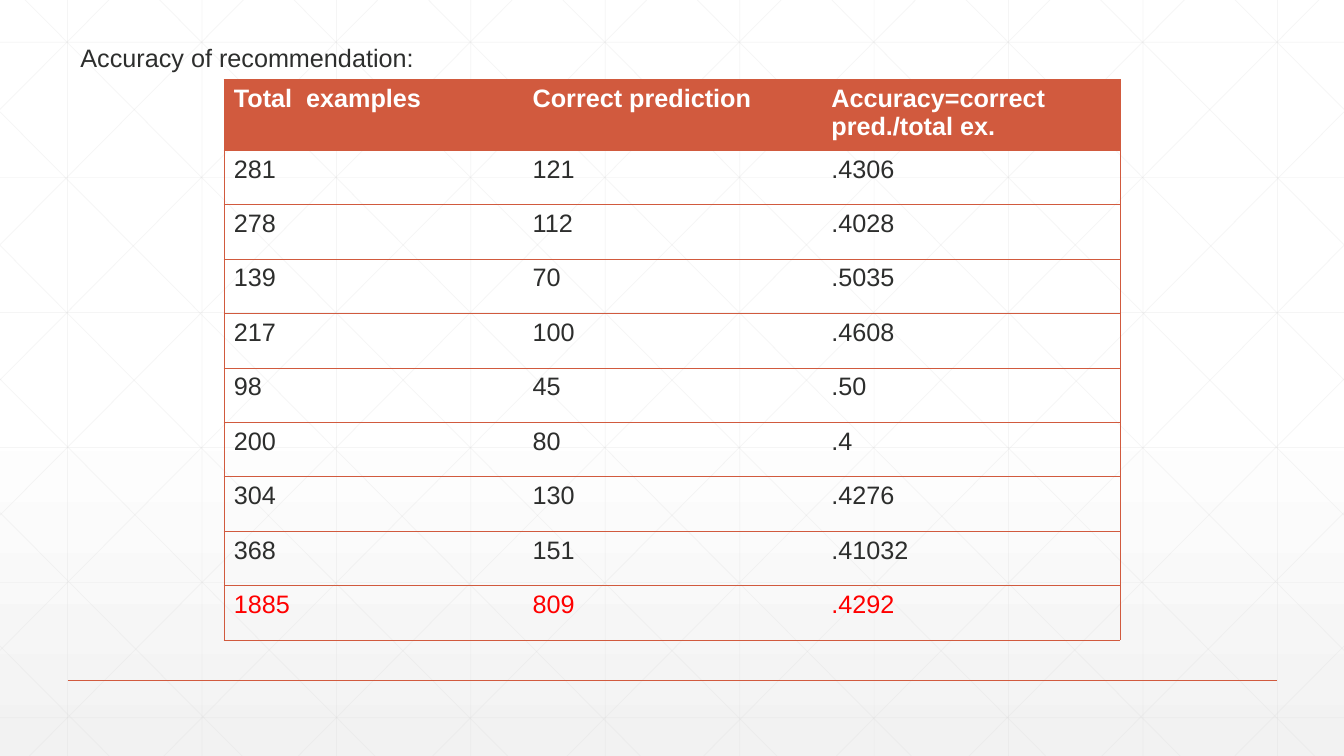
from copy import deepcopy
from lxml import etree
from pptx import Presentation
from pptx.dml.color import RGBColor
from pptx.enum import shapes
from pptx.oxml.ns import qn
from pptx.util import Inches, Pt

# Content
TITLE = "Accuracy of recommendation:"
ROWS = [
    ("Total  examples", "Correct prediction", "Accuracy=correct pred./total ex."),
    ("281", "121", ".4306"),
    ("278", "112", ".4028"),
    ("139", "70", ".5035"),
    ("217", "100", ".4608"),
    ("98", "45", ".50"),
    ("200", "80", ".4"),
    ("304", "130", ".4276"),
    ("368", "151", ".41032"),
    ("1885", "809", ".4292"),
]
HEX = {"rust": "D15A3E", "ink": "2D2E2D", "white": "FFFFFF",
       "red": "FF0000", "mesh": "D9D9D9", "fog": "F2F2F2"}
WIDE, HIGH = 13.33, 7.5
STEP = 4 / 3      # spacing of the mesh
SLOPE = 0.994     # run over rise of its diagonals
PLAIN = "{2D5ABB26-0587-4C30-8999-92F81FD0307C}"  # table style without grid


def rgb(name):
    return RGBColor.from_string(HEX[name])


def style(run, **extra):
    look = {"name": "Arial", "size": Pt(18), "bold": False, **extra}
    color = look.pop("color")
    for key, val in look.items():
        setattr(run.font, key, val)
    run.font.color.rgb = rgb(color)


def rule(x1, y1, x2, y2, color, width, alpha=None):
    line = slide.shapes.add_connector(
        shapes.MSO_CONNECTOR.STRAIGHT, *map(Inches, (x1, y1, x2, y2)))
    line.line.color.rgb = rgb(color)
    line.line.width = Pt(width)
    props = line._element.spPr
    etree.SubElement(props, qn("a:effectLst"))
    if alpha:
        tint = props.find(".//" + qn("a:srgbClr"))
        etree.SubElement(tint, qn("a:alpha"), val=str(alpha * 1000))


def border(cell, sides):
    props = cell._tc.get_or_add_tcPr()
    for i, side in enumerate(sides):
        edge = etree.Element(qn("a:" + side), w=str(Pt(0.5)))
        fill = etree.SubElement(edge, qn("a:solidFill"))
        etree.SubElement(fill, qn("a:srgbClr"), val=HEX["rust"])
        props.insert(i, edge)


deck = Presentation()
deck.slide_width, deck.slide_height = Inches(WIDE), Inches(HIGH)
slide = deck.slides.add_slide(deck.slide_layouts[6])

# Background: white, fading to grey in the lower half
back = slide.background.fill
back.gradient()
back.gradient_angle = 270
for stop, spot, color in zip(back.gradient_stops, (0.53, 1), ("white", "fog")):
    stop.position = spot
    stop.color.rgb = rgb(color)
first = slide.element.find(".//" + qn("a:gs"))
top = deepcopy(first)
top.set("pos", "0")
first.addprevious(top)

# Mesh: uprights, levels, then diagonals with their mirror images
mesh = [(0.67 + STEP * i, 0, 0.67 + STEP * i, HIGH) for i in range(10)]
mesh += [(0, 0.42 + 1.34 * i, WIDE, 0.42 + 1.34 * i) for i in range(6)]
slant = []
for i in range(10):
    x = 0.25 + STEP * i
    drop = min(HIGH, (WIDE - x) / SLOPE)
    slant.append((x, 0, x + drop * SLOPE, drop))
for i in range(5):
    y = 1.11 + 1.325 * i
    slant.append((0, y, (HIGH - y) * SLOPE, HIGH))
mesh += slant + [(WIDE - a, b, WIDE - c, d) for a, b, c, d in slant]
for ends in mesh:
    rule(*ends, "mesh", 0.5, 25)

# Footer rule
rule(0.67, 6.75, 12.67, 6.75, "rust", 1)

# Title
box = slide.shapes.add_textbox(*map(Inches, (0.7, 0.37, 7.76, 0.4)))
box.text_frame.word_wrap = True
run = box.text_frame.paragraphs[0].add_run()
run.text = TITLE
style(run, color="ink")

# Table
frame = slide.shapes.add_table(
    len(ROWS), 3, *map(Inches, (2.22, 0.79, 8.89, 5.57)))
table = frame.table
table.horz_banding = table.first_row = False
table._tbl.tblPr.find(qn("a:tableStyleId")).text = PLAIN
for col in table.columns:
    col.width = Inches(8.89 / 3)
for r, row in enumerate(ROWS):
    head, last = r == 0, r == len(ROWS) - 1
    table.rows[r].height = Inches(0.7 if head else 0.54)
    color = "white" if head else "red" if last else "ink"
    for c, word in enumerate(row):
        cell = table.cell(r, c)
        run = cell.text_frame.paragraphs[0].add_run()
        run.text = word
        style(run, color=color, bold=head)
        if head:
            cell.fill.solid()
            cell.fill.fore_color.rgb = rgb("rust")
        else:
            cell.fill.background()
        border(cell, (["lnL"], [], ["lnR"])[c] + ["lnT", "lnB"])

deck.save("out.pptx")
